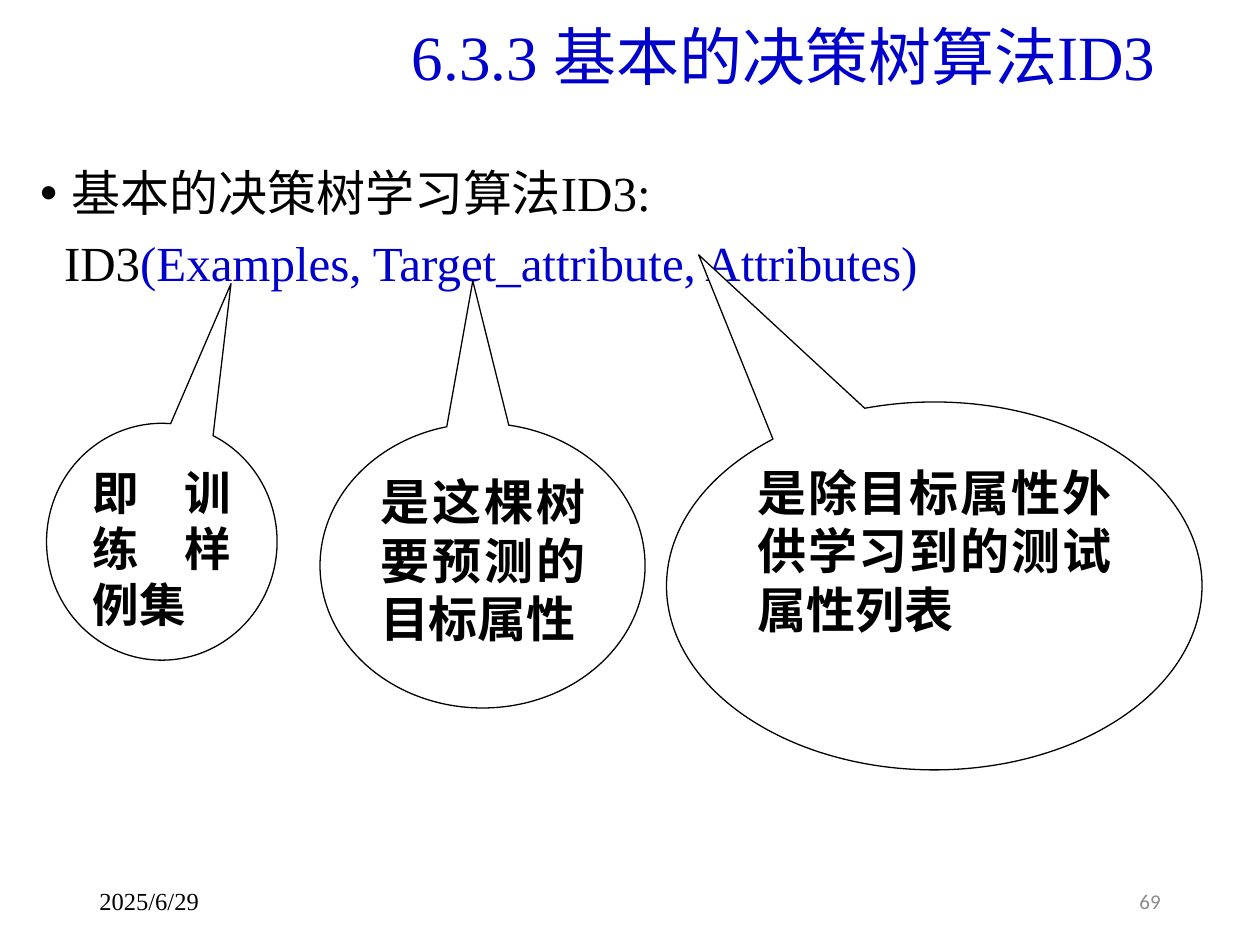
import pptx
import pptx.util
import pptx.dml.color
import pptx.enum.shapes
import pptx.enum.text
from pptx.util import Inches

BLUE = pptx.dml.color.RGBColor(0x00, 0x00, 0xCC)
BLACK = pptx.dml.color.RGBColor(0x00, 0x00, 0x00)
WHITE = pptx.dml.color.RGBColor(0xFF, 0xFF, 0xFF)
GRAY = pptx.dml.color.RGBColor(0x8C, 0x8C, 0x8C)

SERIF = "Times New Roman"
JUSTIFY = pptx.enum.text.PP_ALIGN.JUSTIFY
RIGHT = pptx.enum.text.PP_ALIGN.RIGHT
TOP = pptx.enum.text.MSO_ANCHOR.TOP
MIDDLE = pptx.enum.text.MSO_ANCHOR.MIDDLE


def format_run(run, size, color, font=SERIF, bold=False):
    run.font.size = pptx.util.Pt(size)
    run.font.color.rgb = color
    run.font.name = font
    run.font.bold = bold


def set_text(shape, text, size, color, font=SERIF, bold=False,
             alignment=JUSTIFY, anchor=MIDDLE):
    """Fill a shape with one paragraph and return that paragraph."""
    frame = shape.text_frame
    frame.word_wrap = True
    frame.vertical_anchor = anchor
    frame.text = text
    paragraph = frame.paragraphs[0]
    paragraph.alignment = alignment
    format_run(paragraph.runs[0], size, color, font, bold)
    return paragraph


def add_box(slide, box):
    return slide.shapes.add_textbox(*map(Inches, box))


def add_title(slide, box):
    paragraph = set_text(add_box(slide, box), "6.3.3 基本的决策树算法ID3", 36, BLUE)
    paragraph.line_spacing = 0.9


def add_body(slide, box):
    shape = add_box(slide, box)
    shape.fill.solid()
    shape.fill.fore_color.rgb = WHITE
    heading = set_text(shape, "基本的决策树学习算法ID3:", 28, BLACK, anchor=TOP)

    # Signature line: black name, blue parameters
    signature = shape.text_frame.add_paragraph()
    signature.alignment = JUSTIFY
    for text, color in (("ID3", BLACK),
                        ("(Examples, Target_attribute, Attributes)", BLUE)):
        run = signature.add_run()
        run.text = text
        format_run(run, 28, color)

    for paragraph, margin, indent in ((heading, 0.25, -0.25), (signature, 0.19, 0)):
        paragraph.line_spacing = 0.9
        paragraph.space_before = pptx.util.Pt(10)
        properties = paragraph._p.get_or_add_pPr()
        properties.set("marL", str(Inches(margin)))
        properties.set("indent", str(Inches(indent)))

    # Bullet on the heading only
    properties = heading._p.get_or_add_pPr()
    for tag, attribute, value in (("a:buFont", "typeface", "Arial"),
                                  ("a:buChar", "char", "•")):
        element = pptx.oxml.xmlchemy.OxmlElement(tag)
        element.set(attribute, value)
        properties.append(element)


def add_callout(slide, box, pointer, text, size):
    """Add an ellipse callout; pointer is the tip offset from the centre."""
    callout = slide.shapes.add_shape(
        pptx.enum.shapes.MSO_SHAPE.OVAL_CALLOUT, *map(Inches, box))
    callout.shadow.inherit = False
    callout.adjustments[0], callout.adjustments[1] = pointer
    callout.fill.solid()
    callout.fill.fore_color.rgb = WHITE
    callout.line.color.rgb = BLACK
    callout.line.width = pptx.util.Pt(0.75)
    set_text(callout, text, size, BLACK, bold=True, anchor=TOP)


def add_footer(slide, date_box, number_box):
    set_text(add_box(slide, date_box), "2025/6/29", 14, BLACK)
    set_text(add_box(slide, number_box), "69", 12, GRAY, font="Calibri",
             alignment=RIGHT)


def main():
    presentation = pptx.Presentation()
    presentation.slide_width = Inches(10)
    presentation.slide_height = Inches(7.5)
    slide = presentation.slides.add_slide(presentation.slide_layouts[6])

    add_title(slide, (3.17, 0.05, 6.8, 0.85))
    add_body(slide, (0.22, 1.29, 9.08, 4.5))

    # One callout for each parameter of the signature
    callouts = (
        ((0.37, 3.36, 1.83, 1.88), (0.3, -1.09), "即训练样例集", 26.6),
        ((2.54, 3.36, 2.58, 2.26), (-0.03, -1), "是这棵树要预测的目标属性", 28),
        ((5.29, 3.19, 4.25, 2.92), (-0.44, -0.9),
         "是除目标属性外供学习到的测试属性列表", 28),
    )
    for callout in callouts:
        add_callout(slide, *callout)

    add_footer(slide, (0.69, 6.95, 2.25, 0.4), (7.06, 6.95, 2.25, 0.4))
    presentation.save("out.pptx")


if __name__ == "__main__":
    main()
